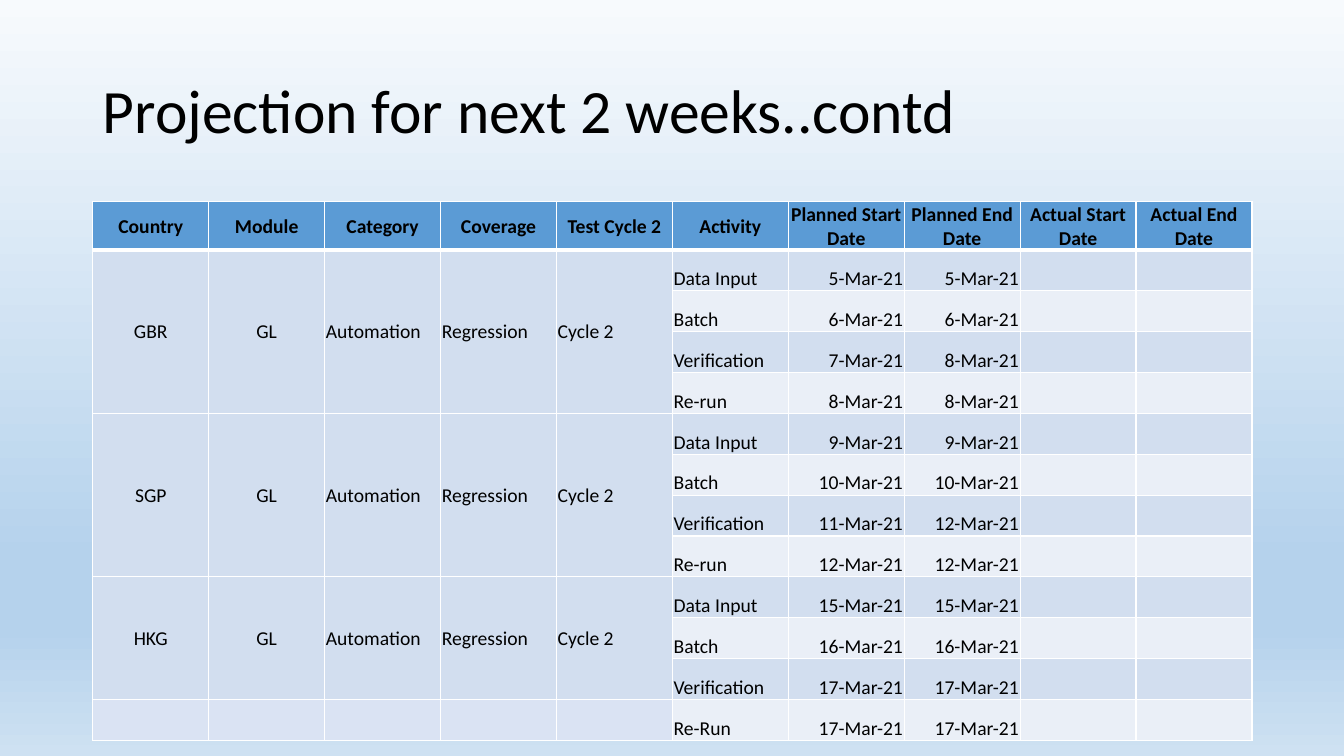
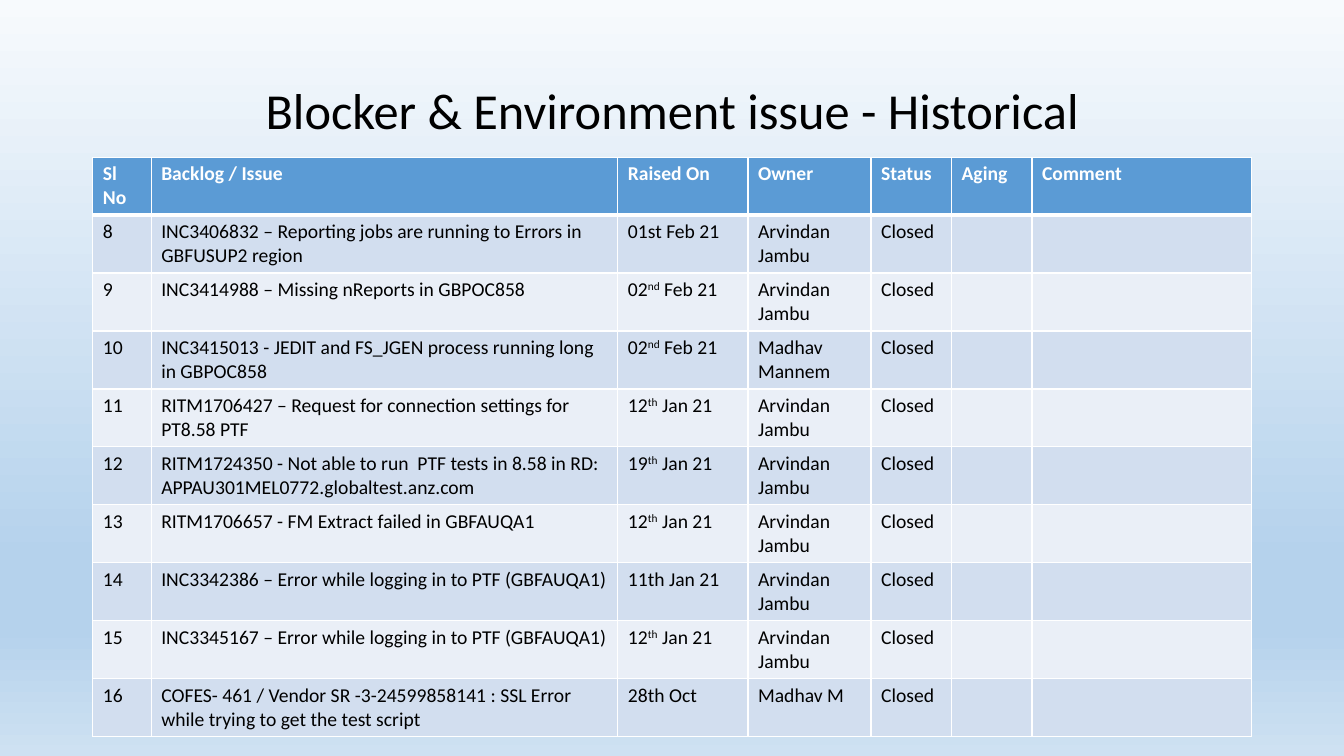
from lxml.etree import SubElement as Sub
from pptx import Presentation
from pptx.dml.color import RGBColor as Rgb
from pptx.enum.text import MSO_ANCHOR as Anc, PP_ALIGN as Al
from pptx.oxml.ns import qn
from pptx.util import Cm, Pt

HUES = {"ink": "000000", "white": "FFFFFF", "head": "5B9BD5", "dark": "D2DEEF",
        "light": "EAEFF7", "blank": "DAE3F3", "sky": "F7FAFD", "blue": "B5D2EC",
        "base": "CEE1F2"}
STOPS = [(0, "sky"), (74, "blue"), (83, "blue"), (100, "base")]
LEFT, WIDE = 2.34, 29.21


class Deck:
    """Hold the shared style and the current slide."""

    def __init__(self):
        self.prs = Presentation()
        self.prs.slide_width, self.prs.slide_height = Cm(33.87), Cm(19.05)
        master = self.prs.slide_master
        fill = master.background.fill
        fill.gradient()
        fill.gradient_angle = 270
        stops = master.element.find(".//" + qn("a:gsLst"))
        for old in list(stops):
            stops.remove(old)
        for pos, hue in STOPS:
            stop = Sub(stops, qn("a:gs"), pos=str(pos * 1000))
            Sub(stop, qn("a:srgbClr"), val=HUES[hue])

    def page(self):
        self.slide = self.prs.slides.add_slide(self.prs.slide_layouts[6])

    def label(self, para, text, hue="ink", **look):
        for i, part in enumerate(text.split("^")):
            run = para.add_run()
            run.text = part
            for key, val in {"name": "Calibri", **look}.items():
                setattr(run.font, key, val)
            run.font.color.rgb = Rgb.from_string(HUES[hue])
            if i % 2:
                run.font._element.set("baseline", "30000")

    def title(self, text, size, align=Al.LEFT):
        box = self.slide.shapes.add_textbox(Cm(LEFT), Cm(1.02), Cm(WIDE), Cm(3.68))
        frame = box.text_frame
        frame.word_wrap, frame.vertical_anchor = True, Anc.MIDDLE
        para = frame.paragraphs[0]
        para.alignment, para.line_spacing = align, 0.9
        self.label(para, text, size=Pt(size))

    def edge(self, cell, row):
        props = cell._tc.get_or_add_tcPr()
        thick = {"lnB": 0, "lnT": 1}
        for side in ("lnL", "lnR", "lnT", "lnB"):
            width = Pt(3 if thick.get(side) == row else 1)
            line = Sub(props, qn("a:" + side), w=str(int(width)))
            Sub(Sub(line, qn("a:solidFill")), qn("a:srgbClr"), val=HUES["white"])

    def paint(self, cell, hue):
        cell.fill.solid()
        cell.fill.fore_color.rgb = Rgb.from_string(HUES[hue])

    def table(self, rows, top, wides, highs, forms, ink, form, pads):
        size = len(rows), len(wides)
        table = self.slide.shapes.add_table(
            *size, Cm(LEFT), Cm(top), Cm(WIDE), Cm(sum(highs))).table
        table.horz_banding = False
        for col, wide in zip(table.columns, wides):
            col.width = Cm(wide)
        for r, (texts, high) in enumerate(zip(rows, highs)):
            table.rows[r].height = Cm(high)
            for c, text in enumerate(texts):
                cell = table.cell(r, c)
                for key, val in pads.items():
                    setattr(cell, "margin_" + key, Cm(val))
                self.edge(cell, r)
                self.paint(cell, ("dark" if r % 2 else "light") if r else "head")
                align, cell.vertical_anchor = forms[c] if r else form
                para = cell.text_frame.paragraphs[0]
                para.alignment = align
                para.font.size = Pt(14)
                if text:
                    self.label(para, text, "ink" if r else ink,
                               size=Pt(14), bold=r == 0)
        return table


def plan(deck):
    deck.page()
    deck.title("Projection for next 2 weeks..contd", 44)
    rows = [["Country", "Module", "Category", "Coverage", "Test Cycle 2", "Activity",
             "Planned Start Date", "Planned End Date", "Actual Start Date",
             "Actual End Date"]]
    acts = ["Data Input", "Batch", "Verification"]
    groups = [("GBR", "Re-run", [(5, 5), (6, 6), (7, 8), (8, 8)]),
              ("SGP", "Re-run", [(9, 9), (10, 10), (11, 12), (12, 12)]),
              ("HKG", "Re-Run", [(15, 15), (16, 16), (17, 17), (17, 17)])]
    for land, last, days in groups:
        for i, (act, pair) in enumerate(zip(acts + [last], days)):
            lead = [land, "GL", "Automation", "Regression", "Cycle 2"]
            dates = [f"{day}-Mar-21" for day in pair]
            rows.append((["" for _ in lead] if i else lead) + [act, *dates, "", ""])
    mid, low = Anc.MIDDLE, Anc.BOTTOM
    forms = ([(Al.CENTER, mid)] * 2 + [(Al.LEFT, mid)] * 3
             + [(Al.LEFT, low)] + [(Al.RIGHT, low)] * 4)
    table = deck.table(rows, 5.08, [WIDE / 10] * 10, [1.2] + [1.03] * 12, forms,
                       "ink", (Al.CENTER, mid),
                       {"left": 0.03, "top": 0.03, "right": 0.03, "bottom": 0})
    for c in range(5):
        for first, last in ((1, 4), (5, 8), (9, 11)):
            for r in range(first, last + 1):
                deck.paint(table.cell(r, c), "dark")
            table.cell(first, c).merge(table.cell(last, c))
        deck.paint(table.cell(12, c), "blank")


def issues(deck):
    deck.page()
    deck.title("Blocker & Environment issue - Historical", 36, Al.CENTER)
    aj = "Arvindan Jambu"
    items = [
        ("INC3406832 – Reporting jobs are running to Errors in GBFUSUP2 region",
         "01st Feb 21", aj),
        ("INC3414988 – Missing nReports in GBPOC858", "02^nd^ Feb 21", aj),
        ("INC3415013 - JEDIT and FS_JGEN process running long in GBPOC858",
         "02^nd^ Feb 21", "Madhav Mannem"),
        ("RITM1706427 – Request for connection settings for PT8.58 PTF",
         "12^th^ Jan 21", aj),
        ("RITM1724350 - Not able to run  PTF tests in 8.58 in RD: "
         "APPAU301MEL0772.globaltest.anz.com", "19^th^ Jan 21", aj),
        ("RITM1706657 - FM Extract failed in GBFAUQA1", "12^th^ Jan 21", aj),
        ("INC3342386 – Error while logging in to PTF (GBFAUQA1)", "11th Jan 21", aj),
        ("INC3345167 – Error while logging in to PTF (GBFAUQA1)", "12^th^ Jan 21", aj),
        ("COFES- 461 / Vendor SR -3-24599858141 : SSL Error while trying to get "
         "the test script", "28th Oct", "Madhav M")]
    rows = [["Sl No", "Backlog / Issue", "Raised On", "Owner", "Status", "Aging",
             "Comment"]]
    rows += [[str(n), *item, "Closed", "", ""] for n, item in enumerate(items, 8)]
    form = (Al.LEFT, Anc.TOP)
    deck.table(rows, 3.96, [1.47, 11.76, 3.28, 3.1, 2.03, 2.03, 5.54],
               [1.46] * len(rows), [form] * 7, "white", form, {})


def main():
    deck = Deck()
    plan(deck)
    issues(deck)
    deck.prs.save("out.pptx")


if __name__ == "__main__":
    main()
